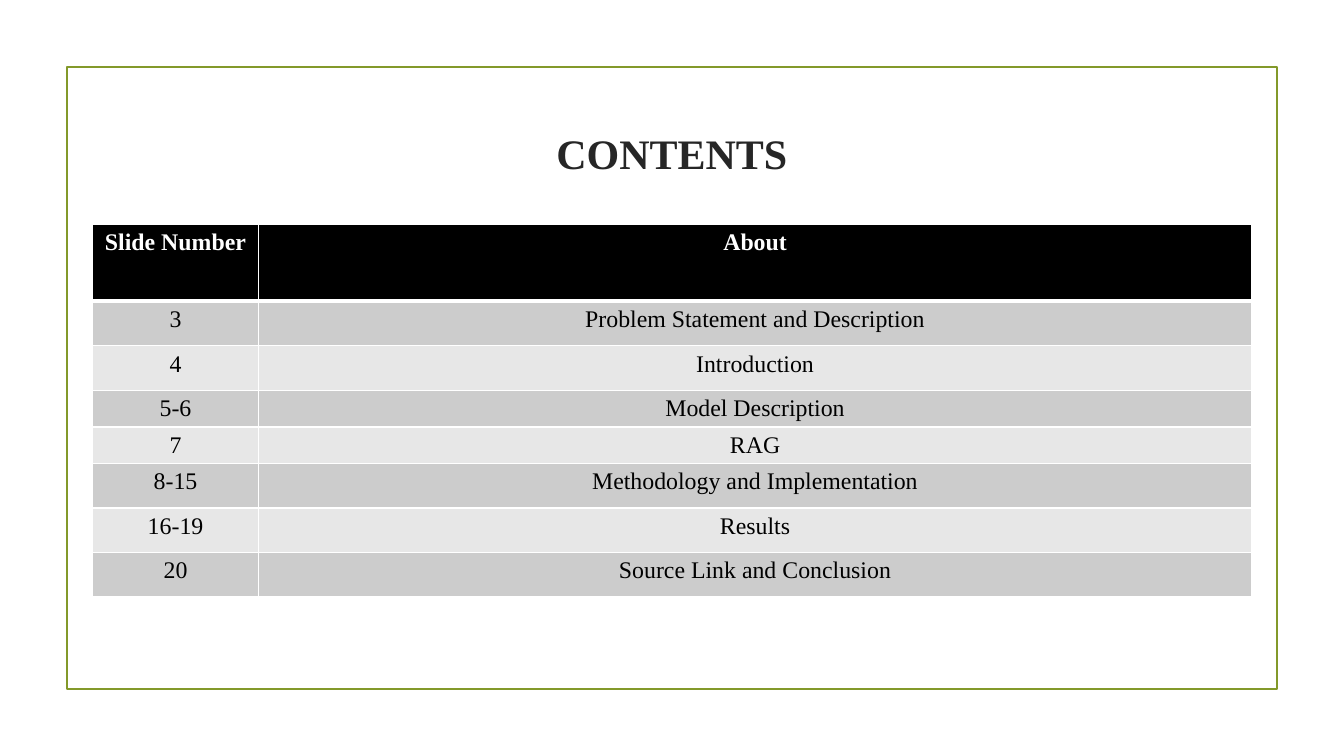
import pptx
import pptx.dml.color
import pptx.enum.shapes
import pptx.enum.text
import pptx.oxml
import pptx.oxml.ns
import pptx.util

CONTENTS = [
    ("Slide Number", "About"),
    ("3", "Problem Statement and Description"),
    ("4", "Introduction"),
    ("5-6", "Model Description"),
    ("7", "RAG"),
    ("8-15", "Methodology and Implementation"),
    ("16-19", "Results"),
    ("20", "Source Link and Conclusion"),
]
HEADER_ROWS, ENTRY_ROWS, COMPACT_ROWS = 9.2, 5.3, 4.3
COMPACT_ENTRIES = ("5-6", "7")


def color(hex_value):
    return pptx.dml.color.RGBColor.from_string(hex_value)


class SlideBuilder:
    FONT = "Times New Roman"
    GRID_COLUMNS, GRID_ROWS = 160, 90

    def __init__(self, presentation):
        self.column = presentation.slide_width / self.GRID_COLUMNS
        self.row = presentation.slide_height / self.GRID_ROWS
        self.slide = presentation.slides.add_slide(presentation.slide_layouts[5])

    def across(self, columns):
        return round(columns * self.column)

    def down(self, rows):
        return round(rows * self.row)

    def box(self, left, top, width, height):
        return self.across(left), self.down(top), self.across(width), self.down(height)

    def add_words(self, text_frame, words, size, hex_value, bold):
        paragraph = text_frame.paragraphs[0]
        paragraph.alignment = pptx.enum.text.PP_ALIGN.CENTER
        run = paragraph.add_run()
        run.text = words
        run.font.name = self.FONT
        run.font.size = pptx.util.Pt(size)
        run.font.bold = bold
        run.font.color.rgb = color(hex_value)

    def frame(self, place, hex_value, weight):
        border = self.slide.shapes.add_shape(
            pptx.enum.shapes.MSO_SHAPE.RECTANGLE, *self.box(*place))
        border.shadow.inherit = False
        border.fill.background()
        border.line.color.rgb = color(hex_value)
        border.line.width = pptx.util.Pt(weight)
        border.element.getparent().insert(2, border.element)

    def title(self, place, words, size, hex_value):
        heading = self.slide.shapes.title
        heading.left, heading.top, heading.width, heading.height = self.box(*place)
        heading.text_frame.vertical_anchor = pptx.enum.text.MSO_ANCHOR.MIDDLE
        self.add_words(heading.text_frame, words, size, hex_value, True)

    def cell_border(self, cell, side, weight):
        edge = pptx.oxml.parse_xml(
            f'<a:ln{side} {pptx.oxml.ns.nsdecls("a")} w="{pptx.util.Pt(weight)}">'
            '<a:solidFill><a:srgbClr val="FFFFFF"/></a:solidFill>'
            f'</a:ln{side}>')
        cell._tc.get_or_add_tcPr().insert("LRTB".index(side), edge)

    def table(self, place, entries, widths, heights):
        contents = self.slide.shapes.add_table(
            len(entries), len(widths), *self.box(*place)).table
        for column, width in zip(contents.columns, widths):
            column.width = self.across(width)
        for index, (entry, height) in enumerate(zip(entries, heights)):
            contents.rows[index].height = self.down(height)
            header = index == 0
            fill = "000000" if header else ("E7E7E7", "CCCCCC")[index % 2]
            for position, words in enumerate(entry):
                cell = contents.cell(index, position)
                for side in "LRTB":
                    heavy = (index, side) in ((0, "B"), (1, "T"))
                    self.cell_border(cell, side, 3 if heavy else 1)
                cell.fill.solid()
                cell.fill.fore_color.rgb = color(fill)
                self.add_words(cell.text_frame, words, 17,
                               "FFFFFF" if header else "000000", header)


def main():
    presentation = pptx.Presentation()
    presentation.slide_width = pptx.util.Inches(13.33)
    presentation.slide_height = pptx.util.Inches(7.5)
    builder = SlideBuilder(presentation)
    builder.frame((8, 8, 144, 74), "83992A", 1.25)
    builder.title((17, 9.6, 126, 17.2), "CONTENTS", 30, "262626")
    heights = [HEADER_ROWS] + [
        COMPACT_ROWS if number in COMPACT_ENTRIES else ENTRY_ROWS
        for number, about in CONTENTS[1:]]
    builder.table((11, 26.67, 138, sum(heights)), CONTENTS, (19.8, 118.2), heights)
    presentation.save("out.pptx")


if __name__ == "__main__":
    main()
